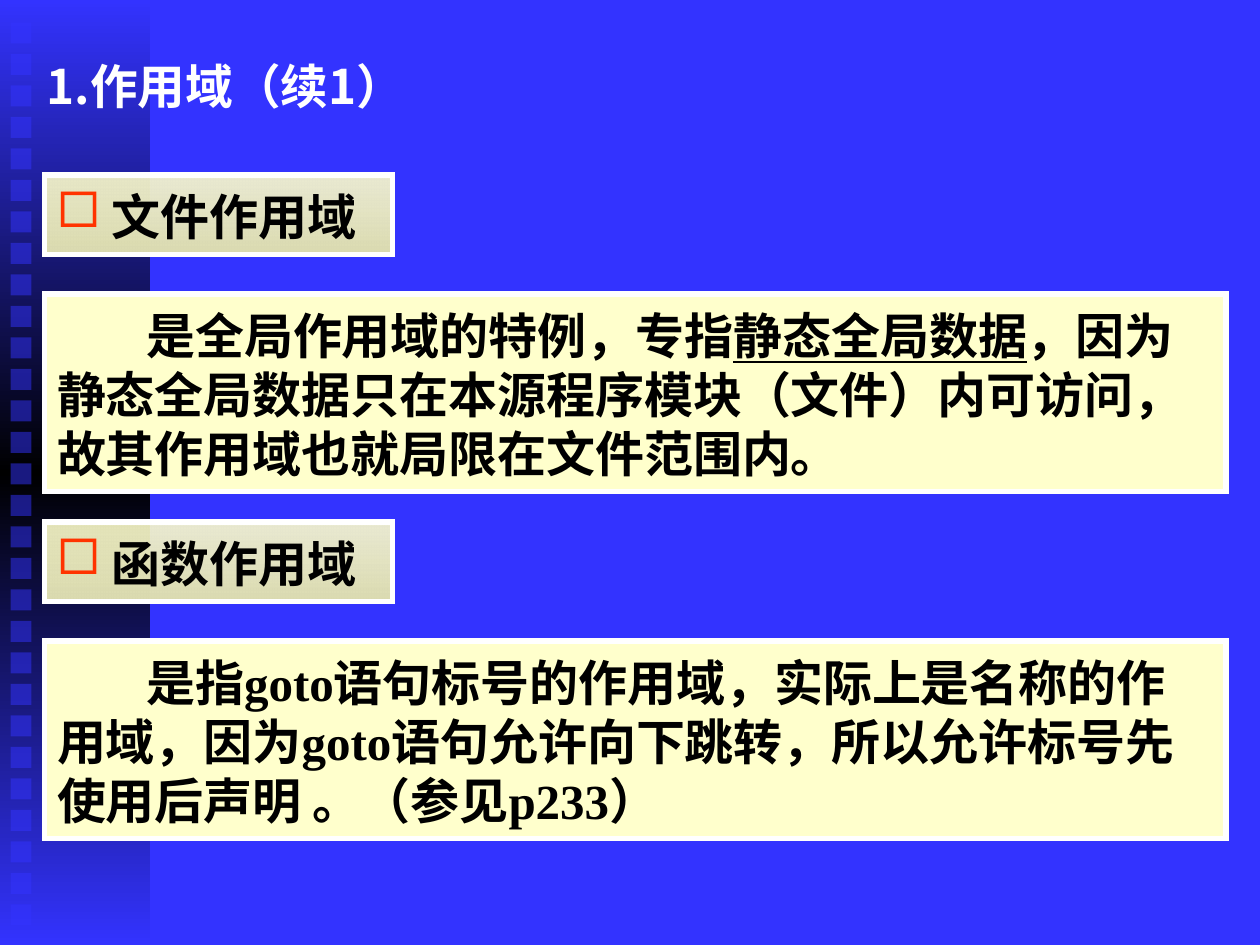
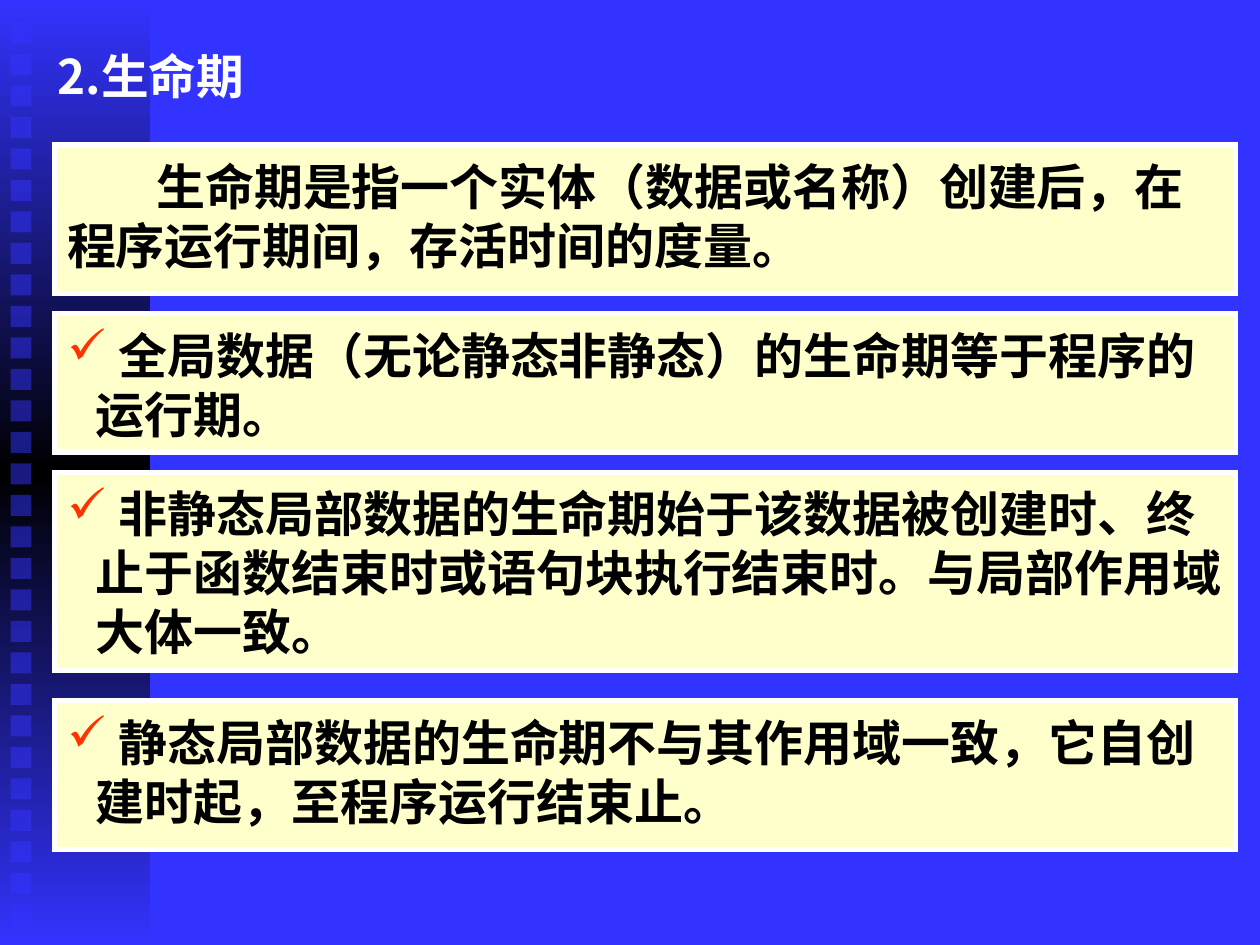
from dataclasses import dataclass

from lxml.etree import SubElement
from pptx import Presentation
from pptx.dml.color import RGBColor
from pptx.enum.shapes import MSO_SHAPE as Preset
from pptx.enum.text import MSO_ANCHOR as Anchor, PP_ALIGN as Align
from pptx.oxml import parse_xml
from pptx.oxml.ns import nsdecls, qn
from pptx.util import Pt


@dataclass(frozen=True)
class Theme:
    blue: str = "3333FF"
    black: str = "000000"
    white: str = "FFFFFF"
    cream: str = "FFFFCC"
    khaki: str = "DCDCB0"
    marker: str = "FF3300"
    latin: str = "Times New Roman"
    chinese: str = "Noto Sans CJK SC"
    symbols: str = "Wingdings"
    wingdings_square: str = "¨"
    wingdings_check: str = "ü"
    title_size: float = 27.2
    body_size: float = 28
    title_leading: float = 32.5
    body_leading: float = 33.7
    first_line: float = 51
    hanging: float = 16.5
    border: float = 3


class Deck:
    def __init__(self, theme):
        self.theme = theme
        self.prs = Presentation()
        self.prs.slide_width, self.prs.slide_height = Pt(720), Pt(540)
        self.slide = None

    def new_slide(self):
        self.slide = self.prs.slides.add_slide(self.prs.slide_layouts[6])
        background = self.slide.background.fill
        background.solid()
        background.fore_color.rgb = RGBColor.from_string(self.theme.blue)
        self.film_strip()

    def rectangle(self, left, top, width, height, color=None, alpha=None):
        box = self.slide.shapes.add_shape(
            Preset.RECTANGLE, Pt(left), Pt(top), Pt(width), Pt(height))
        box.shadow.inherit = False
        box.line.fill.background()
        if color:
            box.fill.solid()
            box.fill.fore_color.rgb = RGBColor.from_string(color)
        if alpha:
            tint = box.fill._xPr.find(qn("a:solidFill"))[0]
            SubElement(tint, qn("a:alpha"), val=str(alpha * 1000))
        return box

    def gradient(self, box, stops):
        box.fill.background()
        properties = box.fill._xPr
        marks = "".join(
            f'<a:gs pos="{pos * 1000}"><a:srgbClr val="{color}">'
            f'<a:alpha val="{alpha * 1000}"/></a:srgbClr></a:gs>'
            for pos, color, alpha in stops)
        properties.replace(properties.find(qn("a:noFill")), parse_xml(
            f'<a:gradFill {nsdecls("a")} rotWithShape="1"><a:gsLst>{marks}</a:gsLst>'
            '<a:lin ang="5400000" scaled="0"/></a:gradFill>'))

    def film_strip(self):
        t = self.theme
        strip = self.rectangle(0, 0, 85.7, 540)
        self.gradient(strip, [(0, t.blue, 100), (50, t.black, 100), (100, t.blue, 100)])
        for hole in range(29):
            self.rectangle(6, 12.8 + 18 * hole, 12, 12, t.blue, 50)

    def add_run(self, paragraph, text, size, color, latin, underline=False):
        run = paragraph.add_run()
        run.text = text
        font = run.font
        font.size, font.bold, font.name = Pt(size), True, latin
        font.color.rgb = RGBColor.from_string(color)
        if underline:
            font.underline = True
        SubElement(font._element, qn("a:ea"), typeface=self.theme.chinese)

    def frame(self, box, top_inset, leading):
        frame = box.text_frame
        frame.word_wrap = True
        frame.vertical_anchor = Anchor.TOP
        frame.margin_left = frame.margin_right = Pt(7.2)
        frame.margin_top, frame.margin_bottom = Pt(top_inset), Pt(3.6)
        paragraph = frame.paragraphs[0]
        paragraph.alignment = Align.LEFT
        paragraph.line_spacing = Pt(leading)
        return paragraph

    def title(self, left, top, text):
        t = self.theme
        box = self.slide.shapes.add_textbox(Pt(left), Pt(top), Pt(612), Pt(42))
        paragraph = self.frame(box, 0.8, t.title_leading)
        self.add_run(paragraph, text, t.title_size, t.white, t.chinese)

    def indent(self, paragraph, bullet):
        t = self.theme
        properties = paragraph._p.get_or_add_pPr()
        if not bullet:
            properties.set("indent", str(Pt(t.first_line)))
            return
        properties.set("marL", str(Pt(t.hanging)))
        properties.set("indent", str(-Pt(t.hanging)))
        color = SubElement(properties, qn("a:buClr"))
        SubElement(color, qn("a:srgbClr"), val=t.marker)
        SubElement(properties, qn("a:buFont"), typeface=t.symbols, charset="2")
        SubElement(properties, qn("a:buChar"), char=bullet)

    def panel(self, left, top, width, height, texts, bullet=None):
        t = self.theme
        box = self.rectangle(left, top, width, height, t.cream)
        box.line.color.rgb = RGBColor.from_string(t.white)
        box.line.width = Pt(t.border)
        SubElement(box.line._ln, qn("a:miter"), lim="800000")
        paragraph = self.frame(box, 6.5, t.body_leading)
        self.indent(paragraph, bullet)
        for index, text in enumerate(texts):
            self.add_run(paragraph, text, t.body_size, t.black, t.latin, index % 2 == 1)
        return box

    def heading(self, left, top, text):
        t = self.theme
        box = self.panel(left, top, 198.7, 45.4, [text], t.wingdings_square)
        self.gradient(box, [(0, t.cream, 89), (100, t.khaki, 100)])


def scope_slide(deck):
    left = 25.5
    deck.new_slide()
    deck.title(19.5, 31.7, "1.作用域（续1）")
    sections = [
        (" 文件作用域", ["是全局作用域的特例，专指", "静态全局数据",
                    "，因为静态全局数据只在本源程序模块（文件）内可访问，"
                    "故其作用域也就局限在文件范围内。"]),
        (" 函数作用域", ["是指goto语句标号的作用域，实际上是名称的作用域，"
                    "因为goto语句允许向下跳转，所以允许标号先使用后声明 。（参见p233）"]),
    ]
    for index, (name, explanation) in enumerate(sections):
        top = 100 + 198.3 * index
        deck.heading(left, top, name)
        deck.panel(left, top + 68, 675, 113, explanation)


def lifetime_slide(deck):
    left = 31.2
    deck.new_slide()
    deck.panel(left, 82.8, 675, 85,
               ["生命期是指一个实体（数据或名称）创建后，在程序运行期间，存活时间的度量。"])
    deck.title(25.9, 25.9, "2.生命期")
    rules = [
        (179.3, 79, " 全局数据（无论静态非静态）的生命期等于程序的运行期。"),
        (270, 113, " 非静态局部数据的生命期始于该数据被创建时、终止于函数结束时"
                   "或语句块执行结束时。与局部作用域大体一致。"),
        (400.3, 85, " 静态局部数据的生命期不与其作用域一致，它自创建时起，至程序运行结束止。"),
    ]
    for top, height, rule in rules:
        deck.panel(left, top, 675, height, [rule], deck.theme.wingdings_check)


def main():
    deck = Deck(Theme())
    scope_slide(deck)
    lifetime_slide(deck)
    deck.prs.save("out.pptx")


if __name__ == "__main__":
    main()
